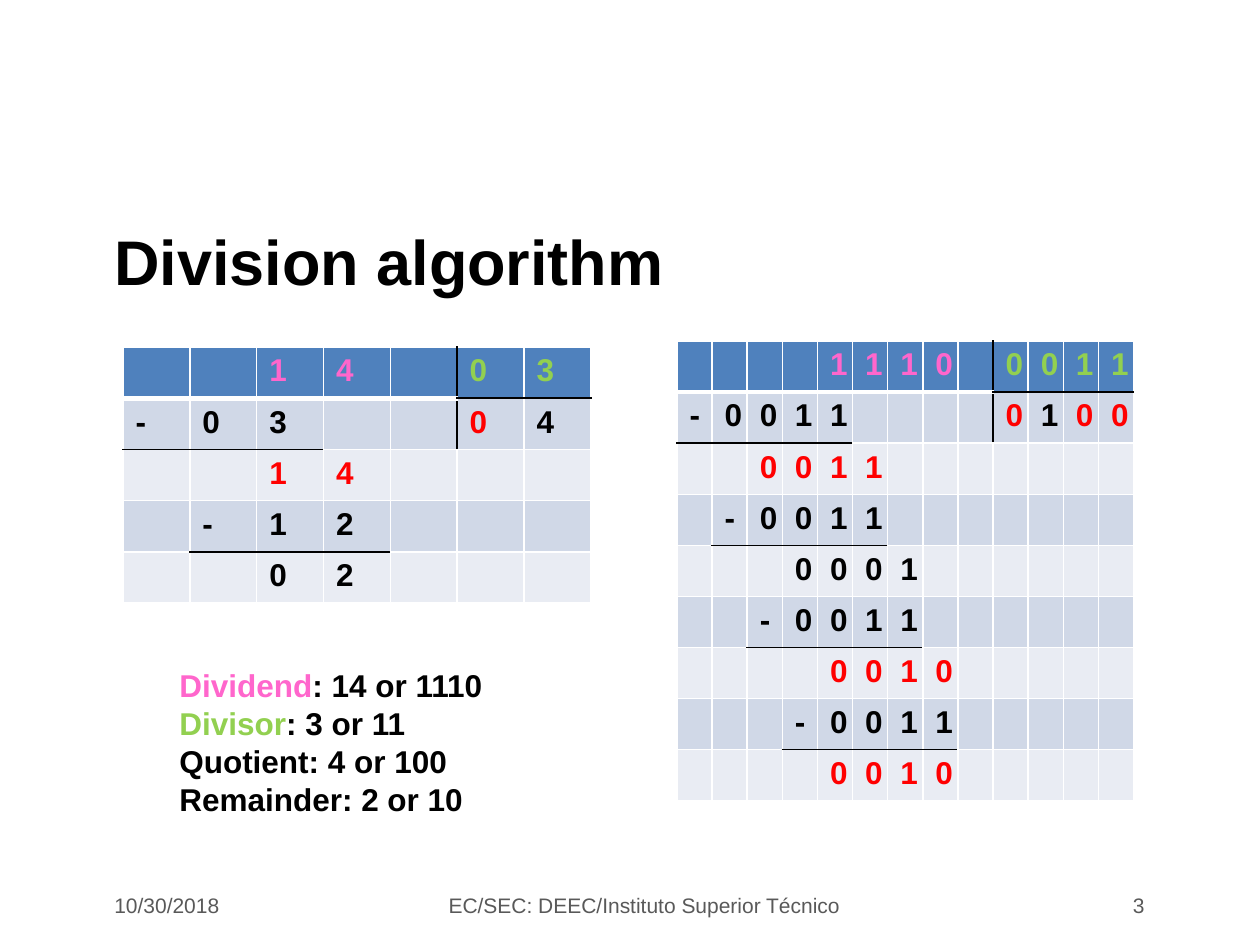
from lxml.etree import SubElement
from pptx import Presentation
from pptx.dml.color import RGBColor
from pptx.enum.text import MSO_ANCHOR as Anchor, PP_ALIGN as Align
from pptx.oxml.ns import qn
from pptx.util import Pt

PX = 914400 / 126
FONT = "Arial"
BLACK = RGBColor(0x00, 0x00, 0x00)
WHITE = RGBColor(0xFF, 0xFF, 0xFF)
GRAY = RGBColor(0x59, 0x59, 0x59)
PINK = RGBColor(0xFF, 0x66, 0xCC)
GREEN = RGBColor(0x92, 0xD0, 0x50)
RED = RGBColor(0xFF, 0x00, 0x00)
HEADER = RGBColor(0x4F, 0x81, 0xBD)
BAND_DARK = RGBColor(0xD0, 0xD8, 0xE7)
BAND_LIGHT = RGBColor(0xE9, 0xEC, 0xF3)

# One character per cell; the second string marks each cell's text colour
INK = {"p": PINK, "g": GREEN, "r": RED, "k": BLACK}
DECIMAL = [
    ("  14 03", "  pp gg"),
    ("-03  04", "kkk  rk"),
    ("  14   ", "  rr   "),
    (" -12   ", " kkk   "),
    ("  02   ", "  kk   "),
]
BINARY = [
    ("    1110 0011", "    pppp gggg"),
    ("-0011    0100", "kkkkk    rkrr"),
    ("  0011       ", "  rrrr       "),
    (" -0011       ", " kkkkk       "),
    ("   0001      ", "   kkkk      "),
    ("  -0011      ", "  kkkkk      "),
    ("    0010     ", "    rrrr     "),
    ("   -0011     ", "   kkkkk     "),
    ("    0010     ", "    rrrr     "),
]
LEGEND = [
    [("Dividend", PINK), (": 14 or 1110", BLACK)],
    [("Divisor", GREEN), (": 3 or 11", BLACK)],
    [("Quotient: 4 or 100", BLACK)],
    [("Remainder: 2 or 10", BLACK)],
]


def emu(box):
    return [round(v * PX) for v in box]


def style(p, size, bold):
    p.font.name, p.font.size, p.font.bold = FONT, Pt(size), bold


def add_text(s, box, lines, size, bold=False, align=Align.LEFT,
             anchor=Anchor.MIDDLE, wrap=True):
    tf = s.shapes.add_textbox(*emu(box)).text_frame
    tf.word_wrap, tf.vertical_anchor = wrap, anchor
    for i, line in enumerate(lines):
        p = tf.add_paragraph() if i else tf.paragraphs[0]
        p.alignment = align
        style(p, size, bold)
        for text, color in line:
            r = p.add_run()
            r.text, r.font.color.rgb = text, color


def add_border(cell, side, color, width=0.96):
    ln = SubElement(cell._tc.get_or_add_tcPr(), qn(f"a:ln{side}"), w=str(Pt(width)))
    fill = SubElement(ln, qn("a:solidFill"))
    SubElement(fill, qn("a:srgbClr"), val=str(color))


def underlined_cells(rows, divider):
    """Cells with a black rule below: the divisor and each subtracted number."""
    cells = {(0, c) for c in range(divider, len(rows[0][0]))}
    for r, (text, _) in enumerate(rows):
        if "-" in text:
            start = text.index("-")
            length = len(text[start:].split()[0])
            cells |= {(r, c) for c in range(start, start + length)}
    return cells


def add_division(s, box, rows):
    x, y, w, h = emu(box)
    n_rows, n_cols = len(rows), len(rows[0][0])
    table = s.shapes.add_table(n_rows, n_cols, x, y, w, h).table
    table.first_row = table.horz_banding = False
    for col in table.columns:
        col.width = w // n_cols
    for row in table.rows:
        row.height = h // n_rows

    divider = rows[0][1].index("g")
    underlined = underlined_cells(rows, divider)
    for r, (text, inks) in enumerate(rows):
        band = HEADER if r == 0 else BAND_DARK if r % 2 else BAND_LIGHT
        for c, (char, ink) in enumerate(zip(text, inks)):
            cell = table.cell(r, c)
            # Borders: the divider runs through the first two rows
            add_border(cell, "L", BLACK if r < 2 and c == divider else WHITE)
            add_border(cell, "R", BLACK if r < 2 and c == divider - 1 else WHITE)
            add_border(cell, "T", BLACK if (r - 1, c) in underlined else WHITE)
            if (r, c) in underlined:
                add_border(cell, "B", BLACK)
            else:
                add_border(cell, "B", WHITE, 0.96 if r else 3)
            cell.fill.solid()
            cell.fill.fore_color.rgb = band
            p = cell.text_frame.paragraphs[0]
            style(p, 18, True)
            if char != " ":
                p.text = char
                p.font.color.rgb = INK[ink]


def add_footer(s, box):
    x, y, w, h = box
    parts = [
        (0, 254, "10/30/2018", Align.LEFT),
        (329, 427, "EC/SEC: DEEC/Instituto Superior Técnico", Align.CENTER),
        (w - 252, 252, "3", Align.RIGHT),
    ]
    for left, width, text, align in parts:
        add_text(s, (x + left, y, width, h), [[(text, GRAY)]], 12, align=align)


def main():
    prs = Presentation()
    prs.slide_width, prs.slide_height = emu((1260, 945))
    s = prs.slides.add_slide(prs.slide_layouts[6])

    # Title
    add_text(s, (102, 200, 1055, 120), [[("Division algorithm", BLACK)]], 36, True)
    # Worked divisions
    add_division(s, (677, 341, 457, 460), BINARY)
    add_division(s, (123, 347, 468, 256), DECIMAL)
    # Legend and footer
    add_text(s, (167, 660, 328, 164), LEGEND, 18, True, anchor=Anchor.TOP, wrap=False)
    add_footer(s, (102, 884, 1055, 43))
    prs.save("out.pptx")


if __name__ == "__main__":
    main()
